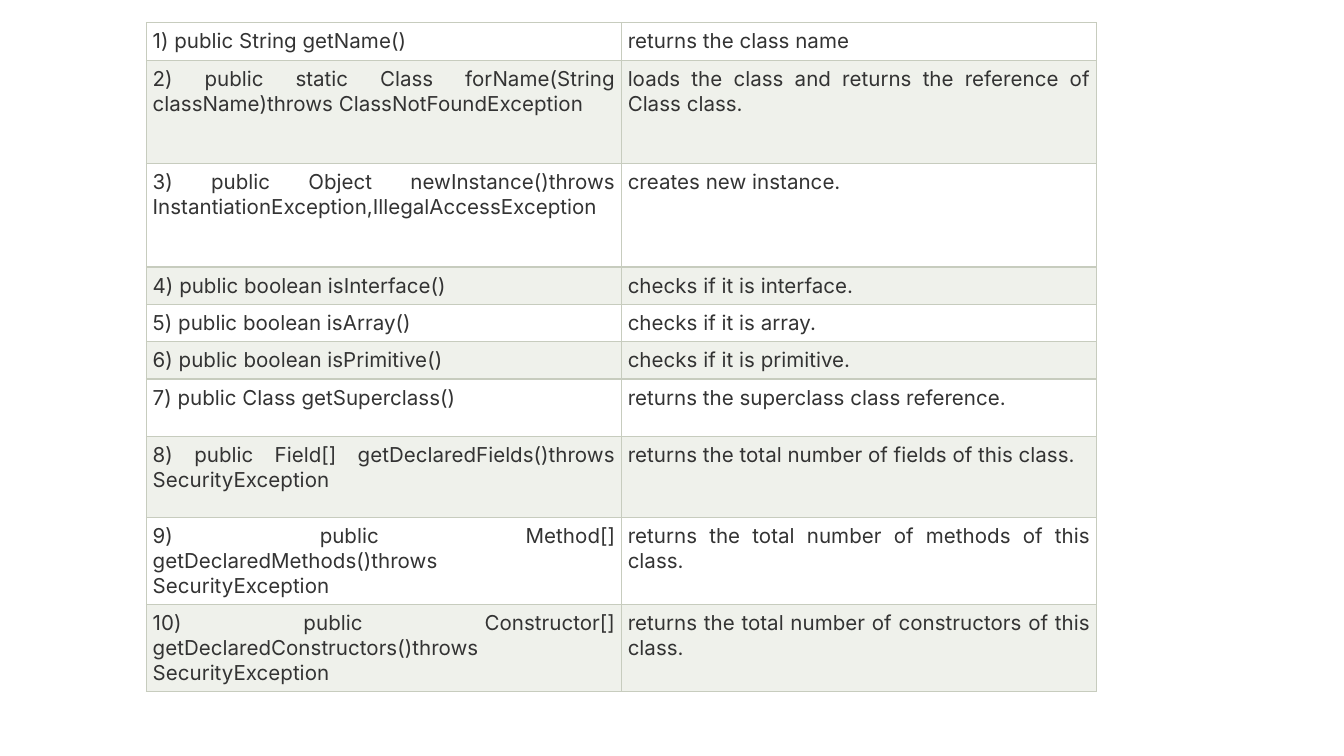
from lxml import etree
from pptx import Presentation
from pptx.dml.color import RGBColor
from pptx.enum import text
from pptx.oxml import ns
from pptx.util import Inches, Pt

WHITE = RGBColor(0xFF, 0xFF, 0xFF)
SAGE = RGBColor(0xEF, 0xF1, 0xEB)
RULE = RGBColor(0xC7, 0xCC, 0xBE)
INK = RGBColor(0x33, 0x33, 0x33)

# row height, method, meaning
ROWS = [
    (0.26, "1) public String getName()", "returns the class name"),
    (0.77, "2) public static Class forName(String className)throws ClassNotFoundException",
     "loads the class and returns the reference of Class class."),
    (0.77, "3) public Object newInstance()throws InstantiationException,IllegalAccessException",
     "creates new instance."),
    (0.26, "4) public boolean isInterface()", "checks if it is interface."),
    (0.26, "5) public boolean isArray()", "checks if it is array."),
    (0.26, "6) public boolean isPrimitive()", "checks if it is primitive."),
    (0.43, "7) public Class getSuperclass()", "returns the superclass class reference."),
    (0.6, "8) public Field[] getDeclaredFields()throws SecurityException",
     "returns the total number of fields of this class."),
    (0.6, "9) public Method[] getDeclaredMethods()throws SecurityException",
     "returns the total number of methods of this class."),
    (0.6, "10) public Constructor[] getDeclaredConstructors()throws SecurityException",
     "returns the total number of constructors of this class."),
]


class Deck:
    font, size, pad = "Inter", Pt(11), Pt(3.33)

    def __init__(self, wide):
        """Open a 16:9 deck with one blank slide."""
        self.prs = Presentation()
        self.prs.slide_width, self.prs.slide_height = Inches(wide), Inches(wide * 9 / 16)
        self.slide = self.prs.slides.add_slide(self.prs.slide_layouts[6])

    def table(self, left, top, width, rows):
        """Draw rows of (height, text, ...) in equal columns with banded fills."""
        cols = len(rows[0]) - 1
        high = sum(row[0] for row in rows)
        grid = self.slide.shapes.add_table(
            len(rows), cols, Inches(left), Inches(top), Inches(width), Inches(high)).table
        grid.first_row = grid.horz_banding = False
        for col in grid.columns:
            col.width = Inches(width / cols)
        for i, (tall, *words) in enumerate(rows):
            grid.rows[i].height = Inches(tall)
            for j, word in enumerate(words):
                self.cell(grid.cell(i, j), word, SAGE if i % 2 else WHITE)

    def cell(self, cell, word, fill):
        self.border(cell)
        cell.fill.solid()
        cell.fill.fore_color.rgb = fill
        cell.margin_left = cell.margin_right = self.pad
        cell.margin_top = cell.margin_bottom = self.pad
        para = cell.text_frame.paragraphs[0]
        para.alignment = text.PP_ALIGN.JUSTIFY
        run = para.add_run()
        run.text = word
        run.font.name, run.font.size = self.font, self.size
        run.font.color.rgb = INK

    def border(self, cell):
        props = cell._tc.get_or_add_tcPr()
        for side in "LRTB":
            line = etree.SubElement(props, ns.qn(f"a:ln{side}"), w=str(Pt(0.75)))
            solid = etree.SubElement(line, ns.qn("a:solidFill"))
            etree.SubElement(solid, ns.qn("a:srgbClr"), val=str(RULE))


def main():
    deck = Deck(10)
    deck.table(1.09, 0.17, 7.07, ROWS)
    deck.prs.save("out.pptx")


if __name__ == "__main__":
    main()
